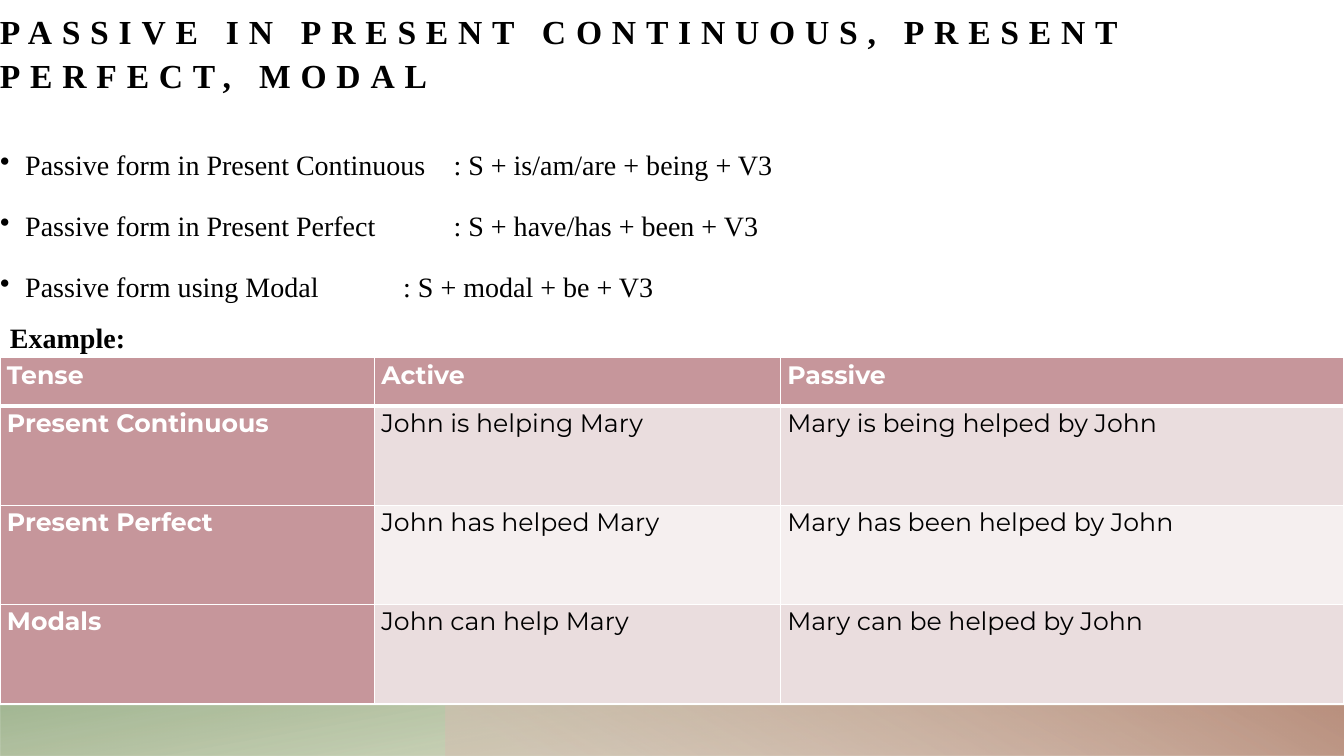
from lxml import etree
from pptx import Presentation
from pptx import util as u
from pptx.dml.color import RGBColor
from pptx.enum import shapes, text
from pptx.oxml.ns import qn

COLOURS = {
    "black": "000000", "white": "FFFFFF", "rose": "C6969B",
    "pink": "EADDDE", "pale": "F5EFEF", "olive": "A0A873",
    "green": "93AB81", "beige": "D6BDB2", "clay": "BA917F",
}
SERIF = "Times New Roman"
SANS = "Montserrat"
FORMULAS = [
    "Passive form in Present Continuous\t: S + is/am/are + being + V3",
    "Passive form in Present Perfect\t\t: S + have/has + been + V3",
    "Passive form using Modal\t\t: S + modal + be + V3",
]
EXAMPLES = [
    ("Tense", "Active", "Passive"),
    ("Present Continuous", "John is helping Mary", "Mary is being helped by John"),
    ("Present Perfect", "John has helped Mary", "Mary has been helped by John"),
    ("Modals", "John can help Mary", "Mary can be helped by John"),
]


def rgb(name):
    """Return the named colour."""
    return RGBColor.from_string(COLOURS[name])


def style(paragraph, size, face=SERIF, colour="black", bold=False, before=0, after=8):
    """Set the font and spacing of a paragraph."""
    font = paragraph.font
    font.name, font.size, font.bold = face, u.Pt(size), bold
    font.color.rgb = rgb(colour)
    paragraph.line_spacing = 1.07
    paragraph.space_before, paragraph.space_after = u.Pt(before), u.Pt(after)


def add_band(page, left, width, stops, angle, rotation=0):
    """Add a mirrored footer band; stops are (position, colour, opacity)."""
    band = page.shapes.add_shape(
        shapes.MSO_SHAPE.RECTANGLE, u.Pt(left), u.Pt(504), u.Pt(width), u.Pt(36))
    band.shadow.inherit = False
    band.line.fill.background()
    band.rotation = rotation
    properties = band._element.spPr
    properties.find(qn("a:xfrm")).set("flipH", "1")
    band.fill.gradient()
    band.fill.gradient_angle = 360 - angle
    for stop, (position, colour, opacity) in zip(band.fill.gradient_stops, stops):
        stop.position = position
        stop.color.rgb = rgb(colour)
    for element, (_, _, opacity) in zip(properties.iter(qn("a:srgbClr")), stops):
        etree.SubElement(element, qn("a:alpha"), val=str(opacity * 1000))


def add_text(page, place, lines, size, inset=(0, 0), anchor="TOP", **look):
    """Add a wrapped text box and return its paragraphs."""
    box = page.shapes.add_textbox(*map(u.Pt, place))
    frame = box.text_frame
    frame.word_wrap = True
    frame.vertical_anchor = getattr(text.MSO_ANCHOR, anchor)
    frame.margin_left = frame.margin_right = u.Pt(inset[0])
    frame.margin_top = frame.margin_bottom = u.Pt(inset[1])
    frame.text = "\n".join(lines)
    for paragraph in frame.paragraphs:
        style(paragraph, size, **look)
    return frame.paragraphs


def add_bullet(paragraph):
    """Give a paragraph a hanging bullet."""
    properties = paragraph._p.get_or_add_pPr()
    properties.set("marL", str(u.Pt(18)))
    properties.set("indent", str(-u.Pt(18)))
    bullet = etree.Element(qn("a:buChar"), char="•")
    properties.find(qn("a:defRPr")).addprevious(bullet)


def add_border(cell, side, width):
    """Draw one white edge of a cell."""
    edge = etree.SubElement(
        cell._tc.get_or_add_tcPr(), qn(f"a:ln{side}"), w=str(u.Pt(width)))
    fill = etree.SubElement(edge, qn("a:solidFill"))
    etree.SubElement(fill, qn("a:srgbClr"), val=COLOURS["white"])


def fill_cell(cell, words, row, column):
    """Write and colour a cell according to its place in the table."""
    heading = row == 0 or column == 0
    cell.margin_left = cell.margin_right = u.Pt(5)
    cell.margin_top = cell.margin_bottom = 0
    for side in "LRTB":
        thick = (row, side) in ((0, "B"), (1, "T"))
        add_border(cell, side, 3 if thick else 1)
    cell.fill.solid()
    cell.fill.fore_color.rgb = rgb("rose" if heading else "pink" if row % 2 else "pale")
    cell.text = words
    style(cell.text_frame.paragraphs[0], 18, SANS,
          "white" if heading else "black", heading)


def add_examples(page):
    """Add the table of active and passive sentences."""
    widths, heights = (267.4, 290, 402.6), (34.3, 70.9, 70.9, 70.9)
    frame = page.shapes.add_table(
        len(heights), len(widths), u.Pt(0), u.Pt(255.6),
        u.Pt(sum(widths)), u.Pt(sum(heights)))
    table = frame.table
    for column, width in zip(table.columns, widths):
        column.width = u.Pt(width)
    for row, height in zip(table.rows, heights):
        row.height = u.Pt(height)
    for row, sentences in enumerate(EXAMPLES):
        for column, words in enumerate(sentences):
            fill_cell(table.cell(row, column), words, row, column)


def main():
    """Build the slide on the passive voice."""
    deck = Presentation()
    deck.slide_width, deck.slide_height = u.Pt(960), u.Pt(540)
    page = deck.slides.add_slide(deck.slide_layouts[6])
    add_band(page, 0, 960, [(0.14, "olive", 28), (1, "green", 85)], 100, 180)
    add_band(page, 318, 642, [(0.09, "beige", 55), (0.99, "clay", 100)], 240)
    title = add_text(
        page, (0, 18.7, 930, 49), ["PASSIVE IN PRESENT CONTINUOUS, PRESENT PERFECT, MODAL"],
        24, anchor="BOTTOM", bold=True, after=0)
    for span in title[0].runs:
        span.font._element.set("spc", "700")
    for paragraph in add_text(page, (0, 103.7, 960, 140), FORMULAS, 20, before=10):
        add_bullet(paragraph)
    add_text(page, (0, 224, 98.6, 31.6), ["Example:"], 20, inset=(7.2, 3.6), bold=True)
    add_examples(page)
    deck.save("out.pptx")


if __name__ == "__main__":
    main()
